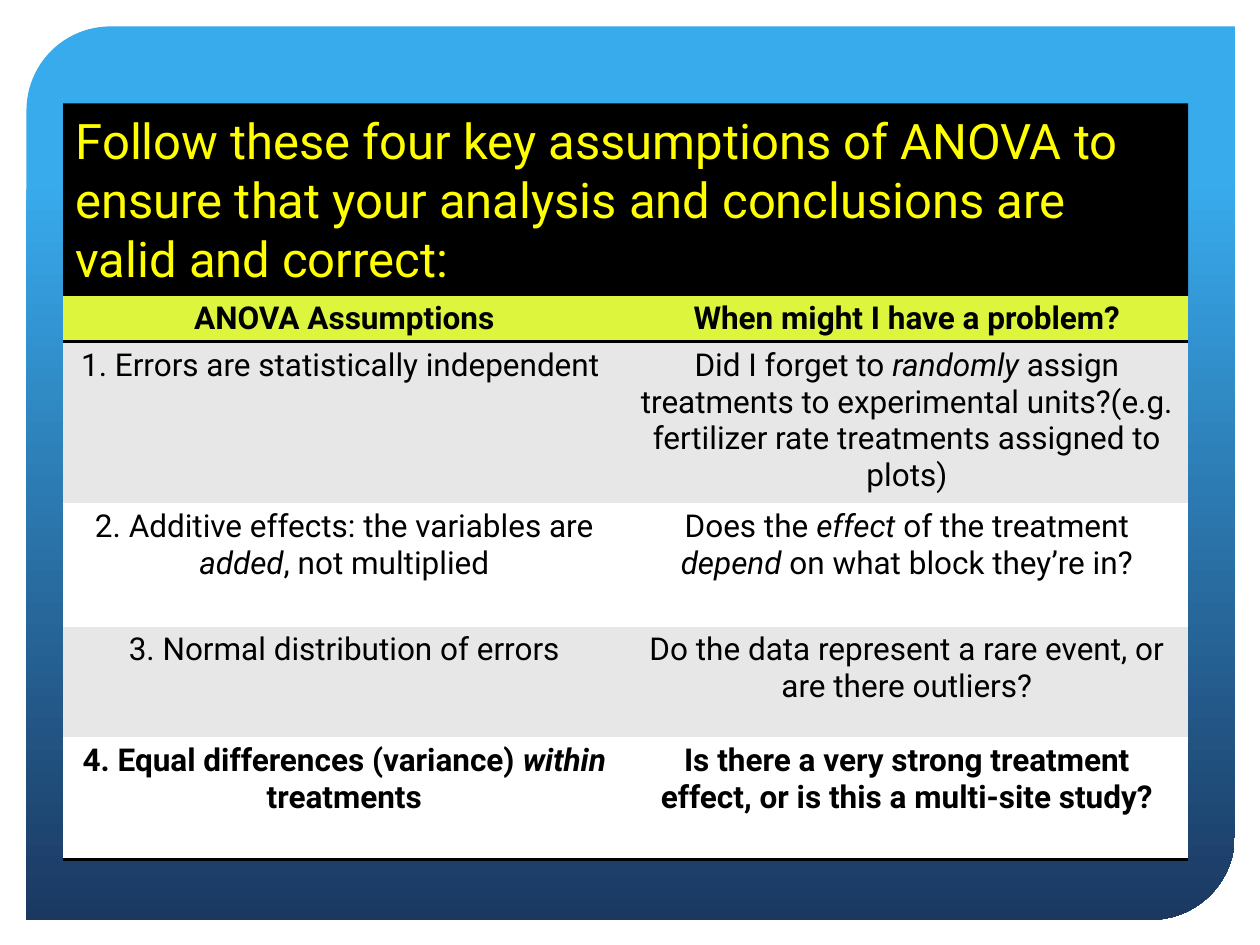
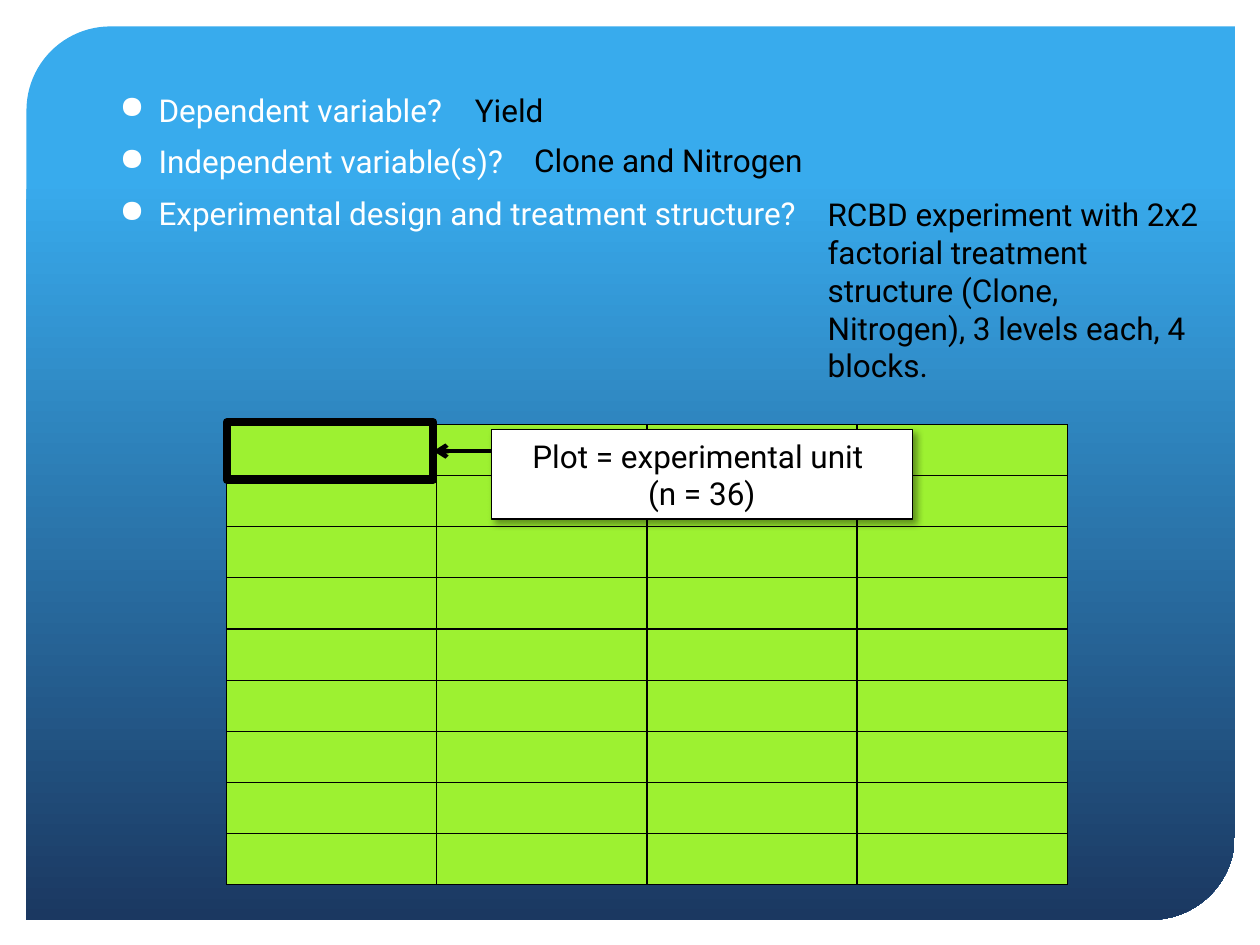
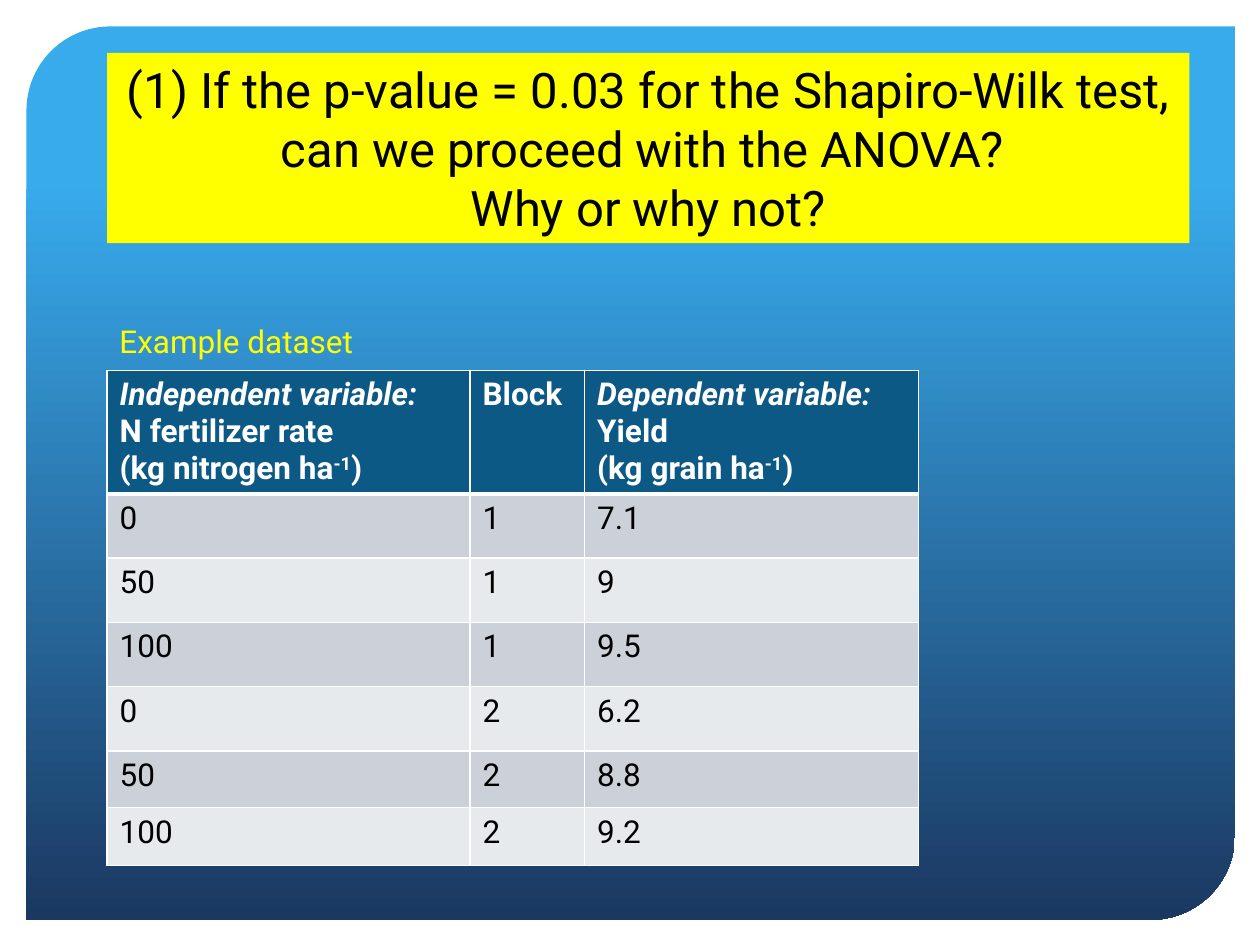
from pptx import Presentation
from pptx.dml.color import RGBColor
from pptx.enum.shapes import MSO_CONNECTOR, MSO_SHAPE
from pptx.enum.text import MSO_ANCHOR, MSO_AUTO_SIZE, PP_ALIGN
from pptx.oxml import parse_xml
from pptx.oxml.ns import nsdecls, qn
from pptx.oxml.xmlchemy import OxmlElement
from pptx.util import Inches, Pt

LEFT, CENTER = PP_ALIGN.LEFT, PP_ALIGN.CENTER
TOP, MIDDLE, BOTTOM = MSO_ANCHOR.TOP, MSO_ANCHOR.MIDDLE, MSO_ANCHOR.BOTTOM
NO_AUTOFIT = MSO_AUTO_SIZE.NONE
RECTANGLE, PANEL = MSO_SHAPE.RECTANGLE, MSO_SHAPE.ROUND_2_DIAG_RECTANGLE
STRAIGHT = MSO_CONNECTOR.STRAIGHT
TITLE_ONLY, BLANK = 5, 6
PLAIN_TABLE = "{2D5ABB26-0587-4C30-8999-92F81FD0307C}"
FONT = "Roboto"
TITLE_SIZE, BODY_SIZE = 28, 18

COLORS = {
    "sky": "38ABED", "navy": "1B3861", "black": "000000", "white": "FFFFFF",
    "yellow": "FFFF00", "lime": "DDF53D", "gray": "E7E7E7", "plot": "9DF131",
    "header": "0C5986", "band dark": "CCD1D9", "band light": "E7EAED",
}

# In all text, *...* is italic and ^...^ is superscript.
ASSUMPTIONS_TITLE = ("Follow these four key assumptions of ANOVA to ensure that "
                     "your analysis and conclusions are valid and correct:")
ASSUMPTIONS = [
    ("ANOVA Assumptions", "When might I have a problem?"),
    ("1. Errors are statistically independent ",
     "Did I forget to *randomly* assign treatments to experimental units?"
     "(e.g. fertilizer rate treatments assigned to plots)"),
    ("2. Additive effects: the variables are *added*, not multiplied",
     "Does the *effect* of the treatment *depend* on what block they’re in?"),
    ("3. Normal distribution of errors",
     "Do the data represent a rare event, or are there outliers?"),
    ("4. Equal differences (variance) *within* treatments",
     "Is there a very strong treatment effect, or is this a multi-site study?"),
]
QUESTIONS = ("Dependent variable?\nIndependent variable(s)?\n"
             "Experimental design and treatment structure?")
ANSWERS = [
    ("Yield", (3.67, 0.67, 0.94, 0.4)),
    ("Clone and Nitrogen", (4.14, 1.07, 2.55, 0.4)),
    ("RCBD experiment with 2x2 factorial treatment structure "
     "(Clone, Nitrogen), 3 levels each, 4 blocks.", (6.47, 1.5, 3.17, 1.62)),
]
PLOT_LABEL = "Plot = experimental unit \n(n = 36)"
PLOT_ROWS, PLOT_COLUMNS = 9, 4
TEST_TITLE = ("(1) If the p-value = 0.03 for the Shapiro-Wilk test, "
              "can we proceed with the ANOVA? \nWhy or why not?")
DATASET_CAPTION = "Example dataset"
DATASET = [
    ("*Independent variable:*\nN fertilizer rate\n(kg nitrogen ha^-1^)", "Block",
     "*Dependent variable:*\nYield\n(kg grain ha^-1^)"),
    ("0", "1", "7.1"), ("50", "1", "9"), ("100", "1", "9.5"),
    ("0", "2", "6.2"), ("50", "2", "8.8"), ("100", "2", "9.2"),
]


def rgb(name):
    return RGBColor.from_string(COLORS[name])


def place(shape, area):
    shape.left, shape.top, shape.width, shape.height = map(Inches, area)


def write(frame, text, color="black", size=BODY_SIZE, align=LEFT, bold=False):
    """Fill a text frame, one paragraph per line, reading the * and ^ marks."""
    frame.word_wrap = True
    for number, line in enumerate(text.split("\n")):
        para = frame.add_paragraph() if number else frame.paragraphs[0]
        para.alignment = align
        for i, part in enumerate(line.split("*")):
            for j, piece in enumerate(part.split("^")):
                if not piece:
                    continue
                span = para.add_run()
                span.text = piece
                font = span.font
                font.name, font.size, font.bold = FONT, Pt(size), bold
                font.italic = i % 2 == 1
                font.color.rgb = rgb(color)
                if j % 2:
                    span._r.get_or_add_rPr().set("baseline", "30000")


def add_text(page, text, area, color="black"):
    box = page.shapes.add_textbox(*map(Inches, area))
    write(box.text_frame, text, color)
    return box


def add_box(page, area, fill=None, line=None, width=0.75, kind=RECTANGLE):
    box = page.shapes.add_shape(kind, *map(Inches, area))
    box.shadow.inherit = False
    if fill:
        box.fill.solid()
        box.fill.fore_color.rgb = rgb(fill)
    else:
        box.fill.background()
    if line:
        box.line.color.rgb = rgb(line)
        box.line.width = Pt(width)
    else:
        box.line.fill.background()
    return box


def set_title(page, text, area, fill, color, align):
    title = page.shapes.title
    place(title, area)
    title.fill.solid()
    title.fill.fore_color.rgb = rgb(fill)
    frame = title.text_frame
    frame.auto_size = NO_AUTOFIT
    frame.vertical_anchor = MIDDLE
    write(frame, text, color, TITLE_SIZE, align)


def set_borders(cell, color, widths):
    """Draw the sides named in widths, a dict such as {"T": 1, "B": 3}."""
    properties = cell._tc.get_or_add_tcPr()
    sides = [side for side in "LRTB" if side in widths]
    for position, side in enumerate(sides):
        properties.insert(position, parse_xml(
            f'<a:ln{side} {nsdecls("a")} w="{Pt(widths[side])}"><a:solidFill>'
            f'<a:srgbClr val="{COLORS[color]}"/></a:solidFill></a:ln{side}>'))


def add_grid(page, corner, widths, heights, fills):
    """Add an unstyled table with one fill colour per row."""
    frame = page.shapes.add_table(
        len(heights), len(widths), *map(Inches, corner),
        Inches(sum(widths)), Inches(sum(heights)))
    frame.element.find(".//" + qn("a:tableStyleId")).text = PLAIN_TABLE
    table = frame.table
    table.first_row = table.horz_banding = False
    for column, width in zip(table.columns, widths):
        column.width = Inches(width)
    for row, height, fill in zip(table.rows, heights, fills):
        row.height = Inches(height)
        for cell in row.cells:
            cell.fill.solid()
            cell.fill.fore_color.rgb = rgb(fill)
    return table


def add_panel_to_master(deck, page):
    panel = add_box(page, (0.21, 0.21, 9.59, 7.09), "sky", kind=PANEL)
    panel.adjustments[0], panel.adjustments[1] = 0.094, 0
    panel.fill.gradient()
    panel.fill.gradient_angle = 270
    stops = zip(panel.fill.gradient_stops, ((0.17, "sky"), (1, "navy")))
    for stop, (position, color) in stops:
        stop.position = position
        stop.color.rgb = rgb(color)
    deck.slide_master.shapes.element.insert(2, panel.element)


def build_assumptions(page):
    left, top, width, height = area = (0.5, 0.82, 8.93, 1.52)
    set_title(page, ASSUMPTIONS_TITLE, area, "black", "yellow", LEFT)
    table = add_grid(page, (left, top + height), [width / 2] * 2,
                     [0.37, 1.28, 0.98, 0.88, 0.97],
                     ["lime", "gray", "white", "gray", "white"])
    last = len(ASSUMPTIONS) - 1
    borders = {0: {"T": 2, "B": 2}, last: {"B": 2}}
    for number, texts in enumerate(ASSUMPTIONS):
        for cell, text in zip(table.rows[number].cells, texts):
            cell.margin_top = cell.margin_bottom = Inches(0.04)
            cell.vertical_anchor = TOP if number else BOTTOM
            write(cell.text_frame, text, align=CENTER, bold=number in borders)
            set_borders(cell, "black", borders.get(number, {}))


def add_bullets(box):
    for number, para in enumerate(box.text_frame.paragraphs):
        properties = para._p.get_or_add_pPr()
        properties.set("marL", str(Inches(0.31)))
        properties.set("indent", str(-Inches(0.31)))
        bullet = OxmlElement("a:buChar")
        bullet.set("char", "●")
        properties.append(bullet)
        if number:
            para.space_before = Pt(8)


def add_arrow(page, start_x, target):
    """Point a horizontal arrow at the right side of the target."""
    y = target.top + target.height // 2
    arrow = page.shapes.add_connector(
        STRAIGHT, Inches(start_x), y, target.left + target.width, y)
    arrow.end_connect(target, 3)
    arrow.line.color.rgb = rgb("black")
    arrow.line.width = Pt(2.5)
    head = OxmlElement("a:tailEnd")
    head.set("type", "arrow")
    arrow.line._get_or_add_ln().append(head)
    arrow.element.spPr.append(OxmlElement("a:effectLst"))


def add_shadow(box):
    effects = box.element.spPr.find(qn("a:effectLst"))
    effects.append(parse_xml(
        f'<a:outerShdw {nsdecls("a")} blurRad="{Pt(4)}" dist="{Pt(3)}" '
        f'dir="2700000" algn="tl" rotWithShape="0">'
        f'<a:srgbClr val="{COLORS["black"]}"><a:alpha val="40000"/></a:srgbClr>'
        f'</a:outerShdw>'))


def build_design(page):
    table = add_grid(page, (1.8, 3.37), [6.67 / PLOT_COLUMNS] * PLOT_COLUMNS,
                     [3.65 / PLOT_ROWS] * PLOT_ROWS, ["plot"] * PLOT_ROWS)
    for cell in table.iter_cells():
        cell.margin_top = cell.margin_bottom = 0
        set_borders(cell, "black", dict.fromkeys("LRTB", 0.75))
    plot = add_box(page, (1.8, 3.35, 1.64, 0.46), line="black", width=4.5)
    add_arrow(page, 4.46, plot)
    label = add_box(page, (3.9, 3.41, 3.34, 0.71), "white", "black")
    add_shadow(label)
    write(label.text_frame, PLOT_LABEL, align=CENTER)
    add_bullets(add_text(page, QUESTIONS, (0.85, 0.67, 8.29, 4.6), "white"))
    for text, area in ANSWERS:
        add_text(page, text, area)


def build_test(page):
    left = 0.85
    set_title(page, TEST_TITLE, (left, 0.42, 8.59, 1.51), "yellow", "black", CENTER)
    bands = ["band dark", "band light"] * 3
    table = add_grid(page, (left, 2.94), [2.88, 0.91, 2.65],
                     [0.98] + [0.51] * 4 + [0.45, 0.46], ["header"] + bands)
    for number, texts in enumerate(DATASET):
        is_header = number == 0
        borders = {"L": 1, "R": 1, "B": 1}
        if is_header:
            borders.update(T=1, B=3)
        for cell, text in zip(table.rows[number].cells, texts):
            write(cell.text_frame, text, "white" if is_header else "black",
                  bold=is_header)
            set_borders(cell, "white", borders)
    add_text(page, DATASET_CAPTION, (left, 2.51, 2.86, 0.4), "yellow")


def main():
    deck = Presentation()
    deck.slide_width, deck.slide_height = Inches(10), Inches(7.5)
    builders = [(TITLE_ONLY, build_assumptions), (BLANK, build_design),
                (TITLE_ONLY, build_test)]
    for number, (layout, build) in enumerate(builders):
        page = deck.slides.add_slide(deck.slide_layouts[layout])
        if number == 0:
            add_panel_to_master(deck, page)
        build(page)
    deck.save("out.pptx")


if __name__ == "__main__":
    main()
